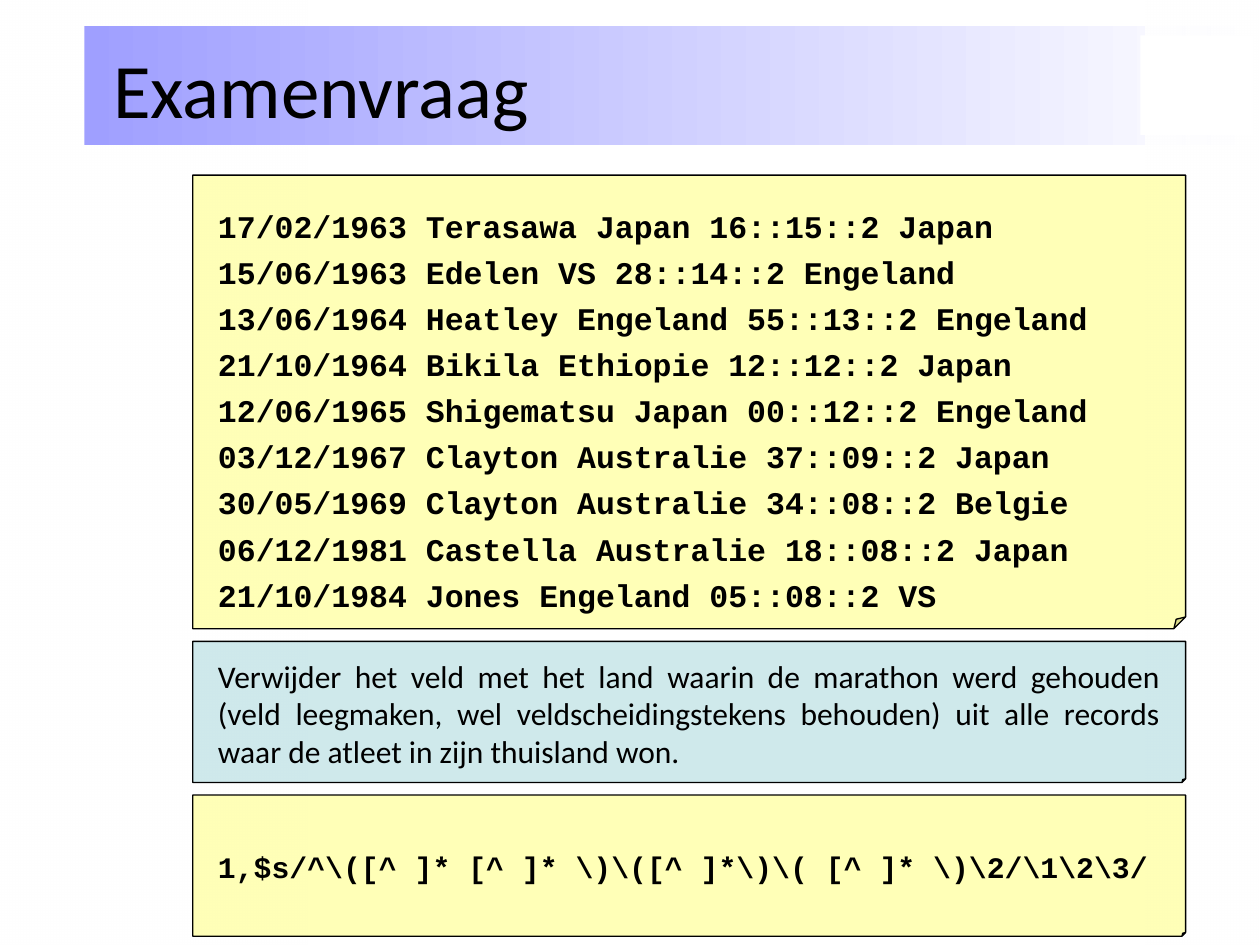
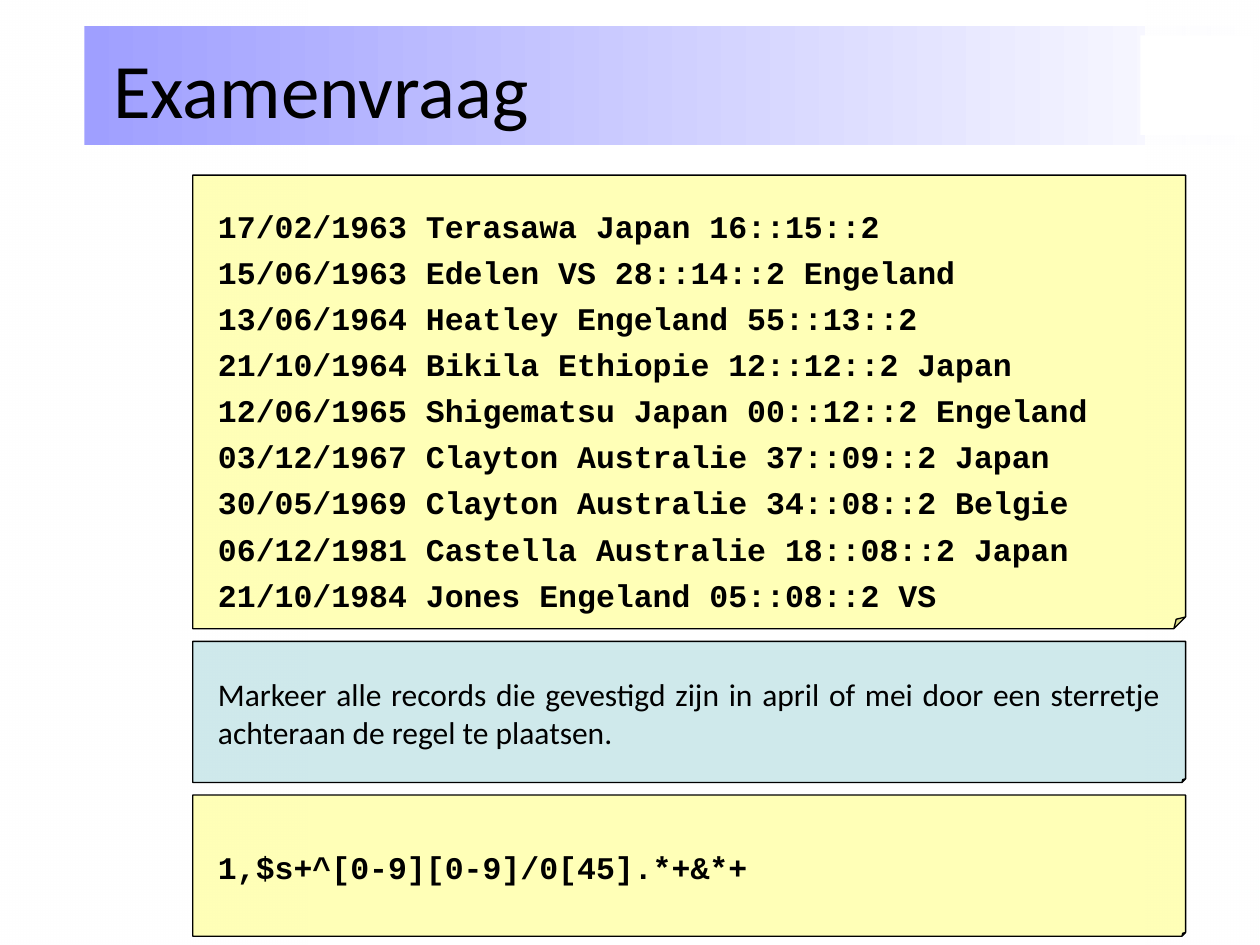
from pptx import Presentation
from pptx.util import Inches, Pt
from pptx.dml.color import RGBColor
from pptx.enum.shapes import MSO_SHAPE as Kind
from pptx.enum.text import MSO_ANCHOR as Anchor, PP_ALIGN as Align
from lxml import etree

# Content
TITLE = "Examenvraag"
RECORDS = [
    "17/02/1963 Terasawa Japan 16::15::2 Japan",
    "15/06/1963 Edelen VS 28::14::2 Engeland",
    "13/06/1964 Heatley Engeland 55::13::2 Engeland",
    "21/10/1964 Bikila Ethiopie 12::12::2 Japan",
    "12/06/1965 Shigematsu Japan 00::12::2 Engeland",
    "03/12/1967 Clayton Australie 37::09::2 Japan",
    "30/05/1969 Clayton Australie 34::08::2 Belgie",
    "06/12/1981 Castella Australie 18::08::2 Japan",
    "21/10/1984 Jones Engeland 05::08::2 VS",
]


def drop_home(record):
    """Leave out the host country when the athlete won at home."""
    head, host = record.rsplit(" ", 1)
    return head if head.split()[2] == host else record


SLIDES = [
    dict(records=RECORDS,
         task="Verwijder het veld met het land waarin de marathon werd "
              "gehouden (veld leegmaken, wel veldscheidingstekens behouden) "
              "uit alle records waar de atleet in zijn thuisland won.",
         answer=r"1,$s/^\([^ ]* [^ ]* \)\([^ ]*\)\( [^ ]* \)\2/\1\2\3/",
         size=17),
    dict(records=[drop_home(r) for r in RECORDS],
         task="Markeer alle records die gevestigd zijn in april of mei door "
              "een sterretje achteraan de regel te plaatsen.",
         answer="1,$s+^[0-9][0-9]/0[45].*+&*+",
         size=18),
]

# Shared look
NS = "{http://schemas.openxmlformats.org/drawingml/2006/main}"
WHITE, BLACK, BAND = "FFFFFF", "000000", "9F9FFF"
YELLOW, BLUE = "FFFF99", "BBE0E3"
CODE = dict(name="Courier New", bold=True)
PROSE = dict(name="Calibri", bold=False)
# Each part: place, then colour and opacity (%) of each stop
DECOR = [
    ((0, 0, 2.44, 7.5), [(WHITE, 38), (WHITE, 100)]),
    ((0.67, 0.21, 9.33, 0.94), [(BAND, 100), (WHITE, 100)]),
    ((9.09, 0, 0.9, 7.5), [(WHITE, 100), (WHITE, 38)]),
    ((9.05, 0.28, 0.9, 0.79), [(WHITE, 100)]),
]
LEFT, TOP, WIDTH, GAP = 1.53, 1.39, 7.88, 0.1
TALL, LOW = 3.6, 1.12


def rgb(code):
    return RGBColor.from_string(code)


def add_part(slide, kind, box, stops):
    part = slide.shapes.add_shape(kind, *map(Inches, box))
    part.shadow.inherit = False
    part.line.fill.background()
    if len(stops) == 1:
        part.fill.solid()
        part.fill.fore_color.rgb = rgb(stops[0][0])
    else:
        part.fill.gradient()
        part.fill.gradient_angle = 0
        for stop, (code, _), pos in zip(part.fill.gradient_stops, stops, (0, 1)):
            stop.color.rgb = rgb(code)
            stop.position = pos
    # Opacity goes on each colour of the fill
    colors = list(part._element.spPr.iter(NS + "srgbClr"))
    for color, (_, alpha) in zip(colors, stops):
        if alpha < 100:
            etree.SubElement(color, NS + "alpha", val=str(alpha * 1000))
    return part


def write(part, lines, look, size, anchor, align=Align.LEFT):
    frame = part.text_frame
    frame.word_wrap = True
    frame.vertical_anchor = anchor
    for i, line in enumerate(lines):
        para = frame.add_paragraph() if i else frame.paragraphs[0]
        para.alignment = align
        if i:
            para.space_before = Pt(4.75)
        run = para.add_run()
        run.text = line
        for key, value in dict(look, size=Pt(size)).items():
            setattr(run.font, key, value)
        run.font.color.rgb = rgb(BLACK)


def add_note(slide, top, high, code, *text):
    note = add_part(slide, Kind.FOLDED_CORNER, (LEFT, top, WIDTH, high),
                    [(code, 70)])
    # Small folded corner
    geom = note._element.spPr.find(NS + "prstGeom")
    for old in list(geom):
        geom.remove(old)
    guides = etree.SubElement(geom, NS + "avLst")
    etree.SubElement(guides, NS + "gd", name="adj", fmla="val 2600")
    note.line.color.rgb = rgb(BLACK)
    note.line.width = Pt(0.75)
    pads = dict(left=0.2, top=0.25, right=0.2, bottom=0.2)
    for side, pad in pads.items():
        setattr(note.text_frame, "margin_" + side, Inches(pad))
    write(note, *text)


def build(deck, data):
    slide = deck.slides.add_slide(deck.slide_layouts[6])
    # Background and title band
    for box, stops in DECOR:
        add_part(slide, Kind.RECTANGLE, box, stops)
    title = slide.shapes.add_textbox(*map(Inches, (0.8, 0.07, 8.18, 1.25)))
    write(title, [TITLE], PROSE, 44, Anchor.MIDDLE)
    # Notes stacked with equal gaps
    notes = [
        (TALL, YELLOW, data["records"], CODE, 18, Anchor.TOP),
        (LOW, BLUE, [data["task"]], PROSE, 18, Anchor.MIDDLE, Align.JUSTIFY),
        (LOW, YELLOW, [data["answer"]], CODE, data["size"], Anchor.MIDDLE),
    ]
    top = TOP
    for high, *rest in notes:
        add_note(slide, top, high, *rest)
        top += high + GAP


def main():
    deck = Presentation()
    deck.slide_width, deck.slide_height = Inches(10), Inches(7.5)
    for data in SLIDES:
        build(deck, data)
    deck.save("out.pptx")


if __name__ == "__main__":
    main()
